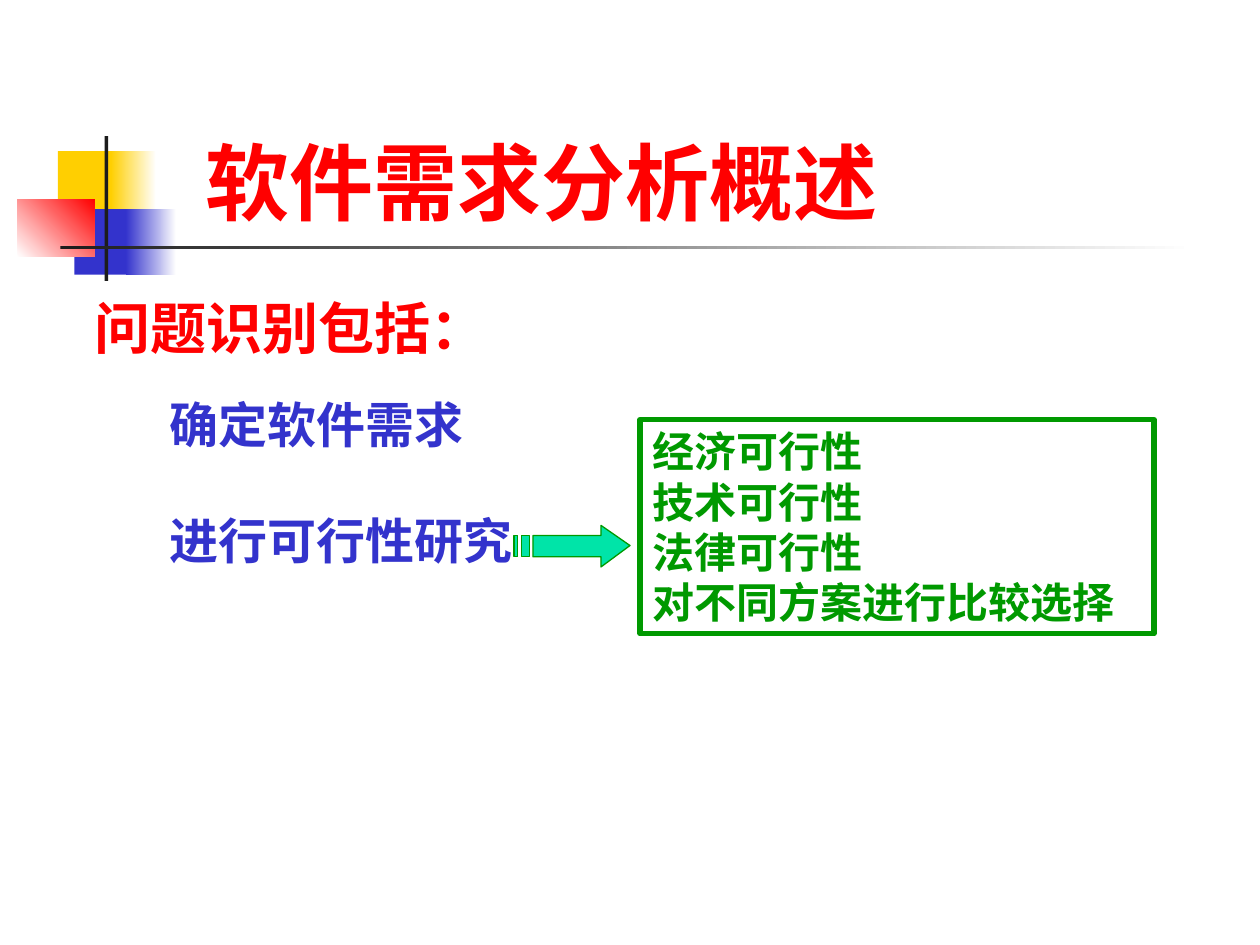
from typing import NamedTuple, Optional

from lxml.etree import SubElement
from pptx import Presentation
from pptx.dml.color import RGBColor
from pptx.enum.shapes import MSO_SHAPE as Shape
from pptx.enum.text import MSO_ANCHOR as Anchor, PP_ALIGN as Align
from pptx.oxml.ns import qn
from pptx.util import Pt

PX = 9144  # EMU per px, 100 px to the inch

WHITE = RGBColor(0xFF, 0xFF, 0xFF)
YELLOW = RGBColor(0xFF, 0xCF, 0x01)
BLUE = RGBColor(0x33, 0x33, 0xCC)
RED = RGBColor(0xFF, 0x00, 0x00)
DARK = RGBColor(0x1C, 0x1C, 0x1C)
GREEN = RGBColor(0x00, 0x99, 0x00)
MINT = RGBColor(0x00, 0xE4, 0xA8)

KARLA = "Karla"
NOTO = "Noto Sans CJK SC"


class Box(NamedTuple):
    x: int
    y: int
    w: int
    h: int

    def emu(self) -> list[int]:
        return [n * PX for n in self]


class Block(NamedTuple):
    box: Box
    color: RGBColor
    end: Optional[RGBColor] = None  # second colour of a gradient
    angle: int = 0


class Label(NamedTuple):
    box: Box
    text: str
    size: int
    color: RGBColor
    font: str = KARLA
    pad: bool = True
    lead: Optional[float] = None


BLOCKS = [
    Block(Box(46, 120, 48, 52), YELLOW),
    Block(Box(88, 120, 36, 52), YELLOW, WHITE),
    Block(Box(59, 166, 46, 52), BLUE),
    Block(Box(100, 166, 40, 52), BLUE, WHITE),
    Block(Box(14, 158, 61, 46), WHITE, RED, 45),
    Block(Box(83, 108, 3, 115), DARK),
    Block(Box(48, 195, 900, 3), DARK, WHITE),
]

LABELS = [
    Label(Box(153, 99, 650, 90), "软件需求分析概述", 48, RED, NOTO),
    Label(Box(75, 225, 792, 61), "问题识别包括：", 32, RED, pad=False, lead=1.15),
    Label(Box(125, 308, 267, 57), "确定软件需求", 28, BLUE),
    Label(Box(125, 400, 317, 57), "进行可行性研究", 28, BLUE),
]

CHECKS = Label(
    Box(508, 333, 408, 170),
    "经济可行性\n技术可行性\n法律可行性\n对不同方案进行比较选择",
    24,
    GREEN,
)

# Arrow outlines: head with shaft, then two stripes
HEAD = [(477, 417), (477, 425), (423, 425), (423, 442),
        (477, 442), (477, 450), (500, 433)]
STRIPES = [(414, 420), (408, 411)]


def draw_block(shapes, item: Block) -> None:
    rect = shapes.add_shape(Shape.RECTANGLE, *item.box.emu())
    rect.shadow.inherit = False
    rect.line.fill.background()
    if item.end is None:
        rect.fill.solid()
        rect.fill.fore_color.rgb = item.color
        return
    rect.fill.gradient()
    rect.fill.gradient_angle = item.angle
    for stop, color, pos in zip(rect.fill.gradient_stops, (item.color, item.end), (0, 1)):
        stop.color.rgb = color
        stop.position = pos


def write(shape, item: Label) -> None:
    frame = shape.text_frame
    frame.text = item.text
    frame.word_wrap = True
    frame.vertical_anchor = Anchor.TOP
    if not item.pad:
        frame.margin_left = frame.margin_right = 0
        frame.margin_top = frame.margin_bottom = 0
    for para in frame.paragraphs:
        para.alignment = Align.LEFT
        if item.lead:
            para.line_spacing = item.lead
        for run in para.runs:
            font = run.font
            font.name = item.font
            font.size = Pt(item.size)
            font.bold = True
            font.color.rgb = item.color
            # East Asian face
            SubElement(run._r.get_or_add_rPr(), qn("a:ea"), typeface=KARLA)


def draw_arrow(shapes) -> None:
    bars = [[(a, 425), (a, 442), (b, 442), (b, 425)] for a, b in STRIPES]
    pen = shapes.build_freeform(*HEAD[0], scale=PX)
    pen.add_line_segments(HEAD[1:], close=True)
    for bar in bars:
        pen.move_to(*bar[0])
        pen.add_line_segments(bar[1:], close=True)
    arrow = pen.convert_to_shape()
    arrow.shadow.inherit = False
    arrow.fill.solid()
    arrow.fill.fore_color.rgb = MINT
    arrow.line.color.rgb = GREEN
    arrow.line.width = Pt(0.75)


def main() -> None:
    deck = Presentation()
    deck.slide_width, deck.slide_height = 1000 * PX, 750 * PX
    shapes = deck.slides.add_slide(deck.slide_layouts[6]).shapes

    # Corner ornament and rule
    for item in BLOCKS:
        draw_block(shapes, item)

    # Title, heading and topics
    for item in LABELS:
        write(shapes.add_textbox(*item.box.emu()), item)

    # Arrow to the framed list
    draw_arrow(shapes)
    frame = shapes.add_shape(Shape.RECTANGLE, *CHECKS.box.emu())
    frame.shadow.inherit = False
    frame.fill.background()
    frame.line.color.rgb = GREEN
    frame.line.width = Pt(3)
    write(frame, CHECKS)

    deck.save("out.pptx")


if __name__ == "__main__":
    main()
